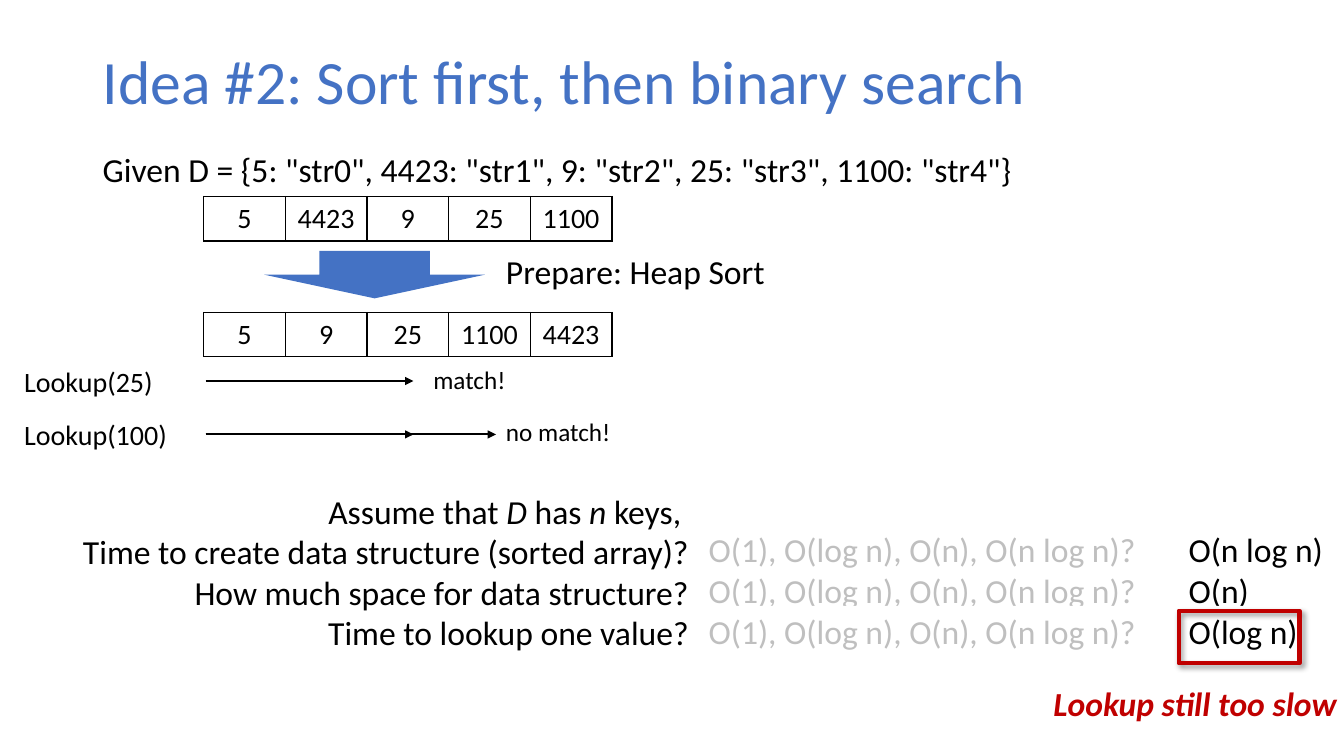
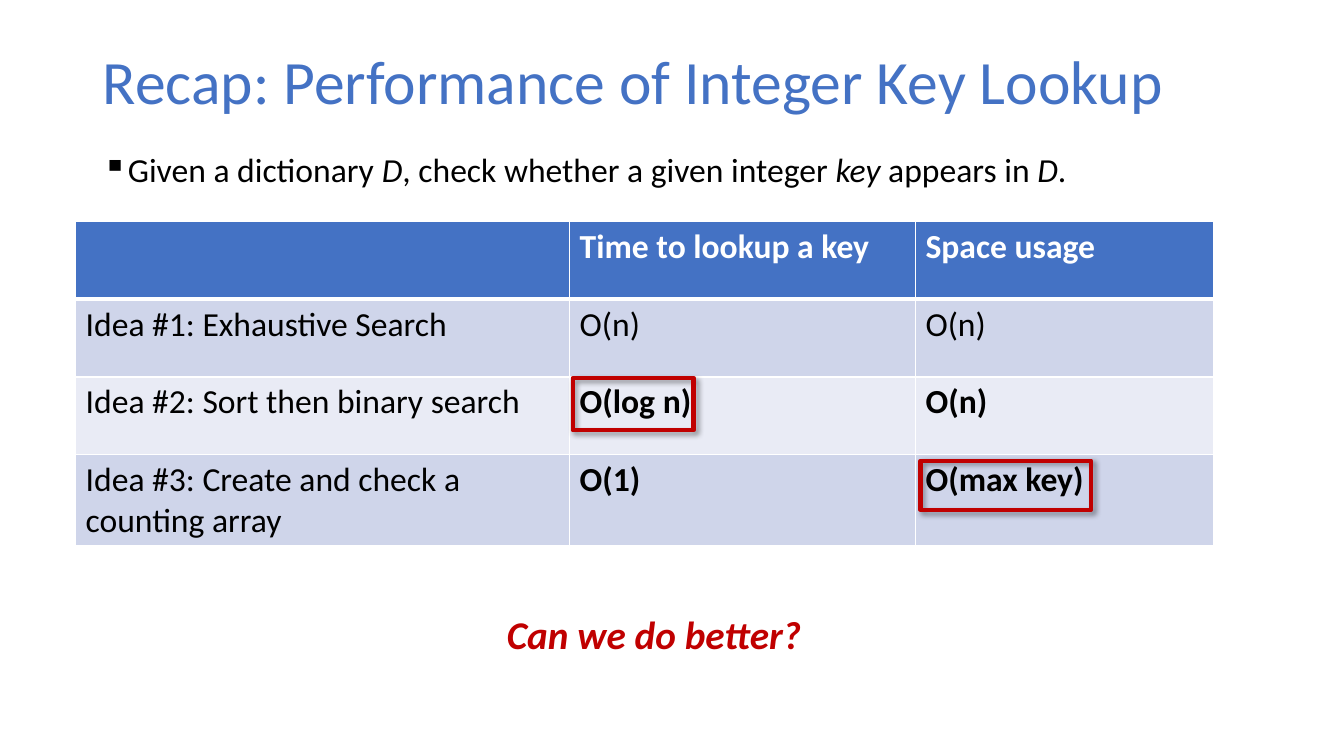
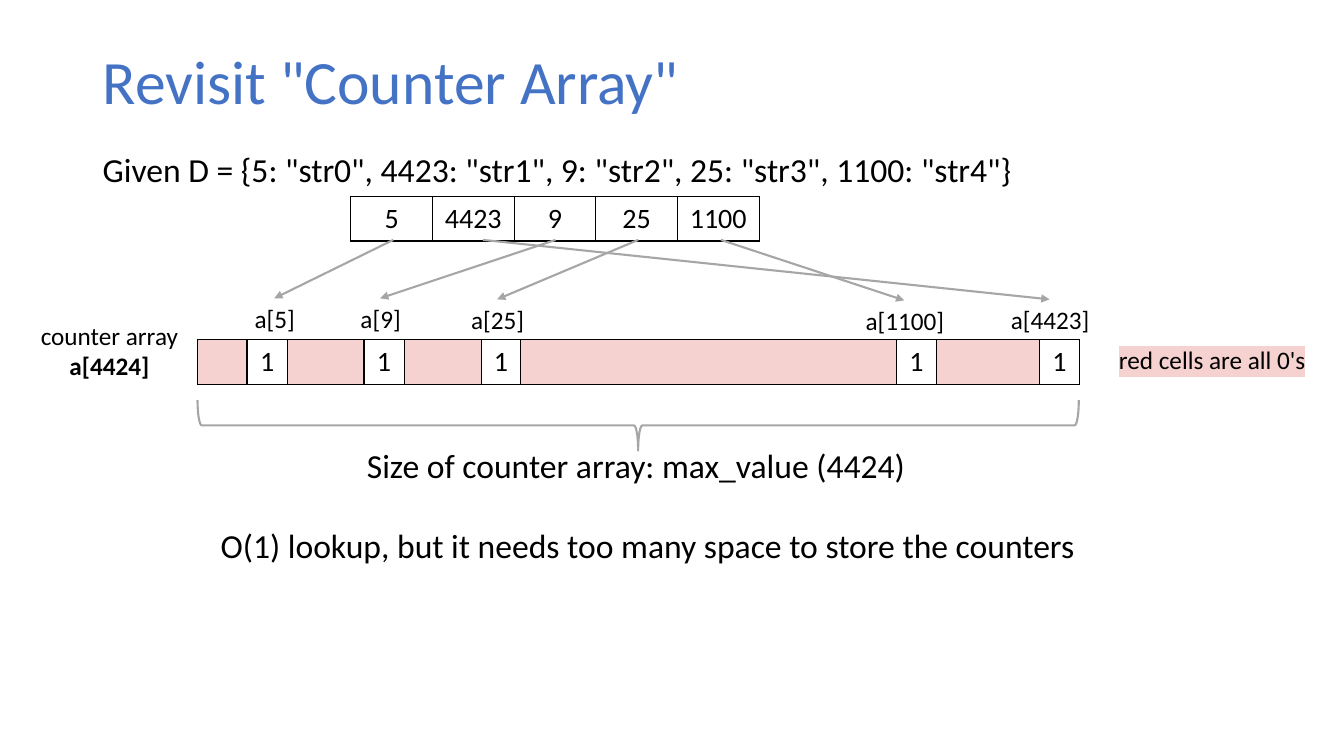
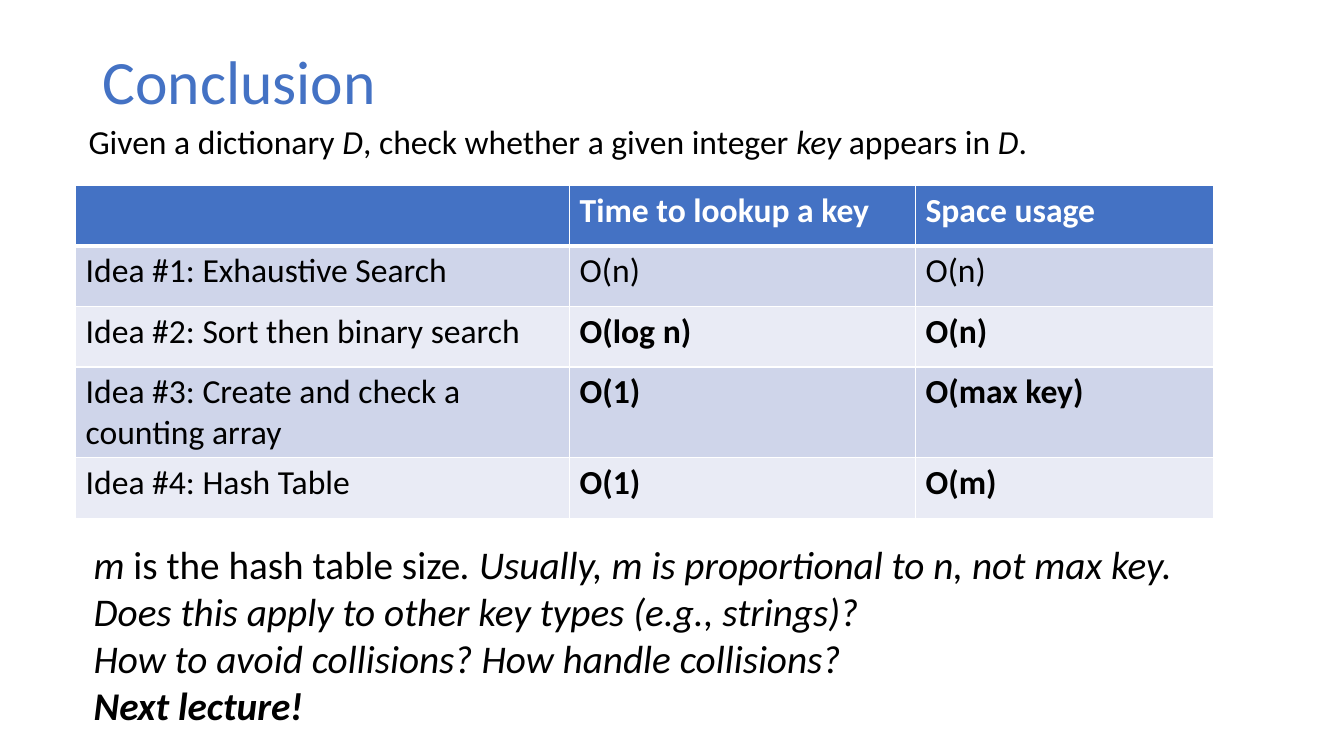
from dataclasses import dataclass

from pptx import Presentation
from pptx.dml.color import RGBColor
from pptx.enum.shapes import MSO_CONNECTOR, MSO_SHAPE
from pptx.enum.text import MSO_ANCHOR, MSO_AUTO_SIZE, PP_ALIGN
from pptx.oxml import parse_xml
from pptx.oxml.ns import nsdecls, qn
from pptx.util import Emu, Pt


@dataclass(frozen=True)
class Theme:
    font: str = "Calibri"
    black: str = "000000"
    white: str = "FFFFFF"
    accent: str = "4472C4"
    alert: str = "C00000"
    muted: str = "BFBFBF"
    line: str = "A6A6A6"
    zero: str = "F5D1CF"
    band_dark: str = "CFD5EA"
    band_light: str = "E9EBF5"
    title: int = 44
    large: int = 28
    body: int = 24
    cell: int = 20
    small: int = 18


@dataclass(frozen=True)
class Box:
    x: int
    y: int
    w: int
    h: int

    def at(self, dx, dy, w, h):
        return Box(self.x + dx, self.y + dy, w, h)

    def emu(self):
        return [px(v) for v in (self.x, self.y, self.w, self.h)]


T = Theme()
EMU_PER_PX = 9144
GIVEN = 'Given D = {5: "str0", 4423: "str1", 9: "str2", 25: "str3", 1100: "str4"}'
TASK = "Given a dictionary *D*, check whether a given integer *key* appears in *D*."
KEYS = ["5", "4423", "9", "25", "1100"]
GIVEN_BOX = Box(92, 147, 953, 54)
HEADER = ["", "Time to lookup a key", "Space usage"]
IDEAS = [
    ["Idea #1: Exhaustive Search", "O(n)", "O(n)"],
    ["Idea #2: Sort then binary search", "O(log n)", "O(n)"],
    ["Idea #3: Create and check a counting array", "O(1)", "O(max key)"],
    ["Idea #4: Hash Table", "O(1)", "O(m)"],
]


def px(n):
    return Emu(n * EMU_PER_PX)


def rgb(value):
    return RGBColor.from_string(value)


def xml(tag, attrs="", inner=""):
    return parse_xml(f"<a:{tag} {nsdecls('a')} {attrs}>{inner}</a:{tag}>")


def color_xml(color, inner=""):
    return f'<a:srgbClr val="{color}">{inner}</a:srgbClr>'


def write(tf, lines, size, color=T.black, bold=False, italic=False,
          align=None, spacing=None):
    tf.text = "\n".join(lines)
    for p, line in zip(tf.paragraphs, lines):
        p.alignment = align
        p.line_spacing = spacing
        p.text = ""
        for i, part in enumerate(line.split("*")):
            if part:
                r = p.add_run()
                r.text = part
                r.font.name = T.font
                r.font.size = Pt(size)
                r.font.bold = bold
                r.font.italic = italic or i % 2 == 1
                r.font.color.rgb = rgb(color)


def text(s, box, *lines, size=T.body, wrap=False, grow=True, fill=None, **style):
    sp = s.shapes.add_textbox(*box.emu())
    tf = sp.text_frame
    tf.word_wrap = wrap
    tf.auto_size = MSO_AUTO_SIZE.SHAPE_TO_FIT_TEXT if grow else MSO_AUTO_SIZE.NONE
    if fill:
        sp.fill.solid()
        sp.fill.fore_color.rgb = rgb(fill)
    write(tf, lines, size, **style)
    return tf


def block(s, box, *lines, **style):
    return text(s, box, *lines, wrap=True, grow=False, spacing=0.9, **style)


def title(s, label):
    tf = block(s, Box(92, 40, 1150, 87), label, size=T.title, color=T.accent)
    tf.vertical_anchor = MSO_ANCHOR.MIDDLE


def shape(s, kind, box, fill=None, line=None, width=1.5):
    sp = s.shapes.add_shape(kind, *box.emu())
    sp.shadow.inherit = False
    if fill:
        sp.fill.solid()
        sp.fill.fore_color.rgb = rgb(fill)
    else:
        sp.fill.background()
    if line:
        sp.line.color.rgb = rgb(line)
        sp.line.width = Pt(width)
    else:
        sp.line.fill.background()
    return sp


def alert_frame(s, box):
    sp = shape(s, MSO_SHAPE.RECTANGLE, box, line=T.alert, width=3)
    shadow = xml("outerShdw",
                 f'blurRad="{Pt(4)}" dist="{Pt(3)}" dir="2700000" algn="tl" rotWithShape="0"',
                 color_xml(T.black, '<a:alpha val="40000"/>'))
    sp.element.spPr.find(qn("a:effectLst")).append(shadow)


def arrow(s, x1, y1, x2, y2, color):
    sp = s.shapes.add_connector(MSO_CONNECTOR.STRAIGHT, px(x1), px(y1), px(x2), px(y2))
    sp.line.color.rgb = rgb(color)
    sp.line.width = Pt(1.5)
    spPr = sp.element.spPr
    spPr.find(qn("a:ln")).append(xml("tailEnd", 'type="triangle"'))
    spPr.append(xml("effectLst"))


def style_cell(cell, fill, border, thick=""):
    tcPr = cell._tc.get_or_add_tcPr()
    for side in "LRTB":
        width = Pt(3 if side in thick else 1)
        tcPr.append(xml(f"ln{side}", f'w="{width}"',
                        f"<a:solidFill>{color_xml(border)}</a:solidFill>"))
    if fill:
        cell.fill.solid()
        cell.fill.fore_color.rgb = rgb(fill)
    else:
        cell.fill.background()


def table(s, box, cols, heights):
    tbl = s.shapes.add_table(len(heights), len(cols), *box.emu()).table
    tbl.first_row = tbl.horz_banding = False
    for column, width in zip(tbl.columns, cols):
        column.width = px(width)
    for row, height in zip(tbl.rows, heights):
        row.height = px(height)
    return tbl


def cell_row(s, box, cols, values, fills):
    tbl = table(s, box, cols, [box.h])
    for cell, value, fill in zip(tbl.iter_cells(), values, fills):
        write(cell.text_frame, [value], T.cell, align=PP_ALIGN.CENTER)
        style_cell(cell, fill, T.black)


def key_row(s, box, keys):
    cell_row(s, box, [box.w // len(keys)] * len(keys), keys, [None] * len(keys))


def ideas_table(s, box, ideas, heights):
    tbl = table(s, box, [490, 343, 296], heights)
    for r, row in enumerate([HEADER] + ideas):
        fill = T.accent if r == 0 else T.band_dark if r % 2 else T.band_light
        for c, value in enumerate(row):
            cell = tbl.cell(r, c)
            write(cell.text_frame, [value], T.body, T.black if r else T.white,
                  bold=r == 0 or (r > 1 and c > 0))
            style_cell(cell, fill, T.white, {0: "B", 1: "T"}.get(r, ""))


def sorting(s, box):
    key_row(s, box.at(0, 0, 405, 41), KEYS)
    shape(s, MSO_SHAPE.DOWN_ARROW, box.at(60, 54, 219, 47), fill=T.accent)
    text(s, box.at(290, 49, 279, 50), "Prepare: Heap Sort")
    key_row(s, box.at(0, 115, 405, 41), sorted(KEYS, key=int))


def lookups(s, box):
    searches = [
        ("Lookup(25)", 149, [396], "match!", 406, 0, 93),
        ("Lookup(100)", 163, [396, 478], "no match!", 478, -1, 125),
    ]
    for i, (call, call_w, ends, result, result_x, shift, result_w) in enumerate(searches):
        y = i * 52
        text(s, box.at(0, y, call_w, 44), call, size=T.cell)
        for end in ends:
            line_y = box.y + 21 + i * 53
            arrow(s, box.x + 190, line_y, box.x + end, line_y, T.black)
        text(s, box.at(result_x, y + shift, result_w, 40), result, size=T.small)


def complexity(s, box):
    text(s, box.at(0, 0, 626, 172),
         "Assume that *D* has *n* keys, ",
         "Time to create data structure (sorted array)?",
         "How much space for data structure?",
         "Time to lookup one value?", align=PP_ALIGN.RIGHT)
    for dy, answer, w in [(78, "O(n)", 81), (119, "O(log n)", 129), (38, "O(n log n)", 154)]:
        text(s, box.at(626, dy, 447, 50), "O(1), O(log n), O(n), O(n log n)?",
             color=T.muted, fill=T.white)
        text(s, box.at(1102, dy, w, 50), answer, fill=T.white)
    alert_frame(s, box.at(1102, 124, 120, 52))
    text(s, box.at(968, 191, 304, 50), "Lookup still too slow",
         color=T.alert, bold=True, italic=True)


def counter_array(s, box):
    cols = [49, 40, 76, 40, 77, 38, 373, 40, 102, 40]
    pairs = len(cols) // 2
    cell_row(s, box.at(0, 0, sum(cols), 41), cols, ["", "1"] * pairs, [T.zero, None] * pairs)
    marks = [
        ("a[5]", 194, 46, 61, -41),
        ("a[4423]", 283, 796, 99, -40),
        ("a[9]", 355, 151, 61, -41),
        ("a[25]", 437, 261, 73, -40),
        ("a[1100]", 519, 652, 99, -39),
    ]
    for label, start, left, w, dy in marks:
        text(s, box.at(left, dy, w, 40), label, size=T.small, align=PP_ALIGN.CENTER)
        arrow(s, box.x + start, box.y - 99, box.x + left + w // 2, box.y + dy, T.line)
    tf = text(s, box.at(-167, -24, 159, 71), "counter array", "a[4424]",
              size=T.small, wrap=True, align=PP_ALIGN.CENTER)
    tf.paragraphs[1].runs[0].font.bold = True
    tf = text(s, box.at(904, 0, 207, 40), "red cells are all 0's", size=T.small)
    solid = tf.paragraphs[0].runs[0].font.fill
    solid.solid()
    solid.fore_color.rgb = rgb(T.black)
    rPr = tf.paragraphs[0].runs[0].font._element
    rPr.find(qn("a:solidFill")).addnext(xml("highlight", "", color_xml(T.zero)))
    size_brace(s, box.at(0, 60, 874, 50))


def size_brace(s, box):
    side = (box.w - box.h) // 2
    sp = shape(s, MSO_SHAPE.LEFT_BRACE, box.at(side, -side, box.h, box.w), line=T.line)
    sp.rotation = 270
    text(s, box.at(158, 39, 559, 50), "Size of counter array: max_value (4424)")


def sort_slide(s):
    title(s, "Idea #2: Sort first, then binary search")
    block(s, GIVEN_BOX, GIVEN)
    sorting(s, Box(202, 195, 569, 158))
    lookups(s, Box(14, 357, 603, 96))
    complexity(s, Box(67, 482, 1272, 241))


def recap_slide(s):
    title(s, "Recap: Performance of Integer Key Lookup")
    tf = block(s, Box(92, 147, 1150, 75), TASK)
    pPr = tf.paragraphs[0]._p.get_or_add_pPr()
    pPr.set("marL", str(px(25)))
    pPr.set("indent", str(px(-25)))
    pPr.append(xml("buChar", 'char="▪"'))
    text(s, Box(493, 601, 317, 57), "Can we do better?", size=T.large,
         color=T.alert, bold=True, italic=True)
    box = Box(75, 220, 1129, 321)
    ideas_table(s, box, IDEAS[:3], [77] * 4)
    alert_frame(s, box.at(493, 155, 120, 52))
    alert_frame(s, box.at(838, 237, 169, 49))


def counter_slide(s):
    title(s, 'Revisit "Counter Array"')
    block(s, GIVEN_BOX, GIVEN)
    key_row(s, Box(348, 195, 405, 41), KEYS)
    counter_array(s, Box(196, 337, 876, 43))
    text(s, Box(209, 516, 874, 50),
         "O(1) lookup, but it needs too many space to store the counters")


def conclusion_slide(s):
    title(s, "Conclusion")
    text(s, Box(78, 115, 960, 50), TASK)
    ideas_table(s, Box(75, 184, 1129, 330), IDEAS, [60, 60, 60, 85, 60])
    tf = text(s, Box(83, 531, 1129, 199),
              "*m* is the hash table size*. Usually, m is proportional to n, not max key.*",
              "*Does this apply to other key types (e.g., strings)?*",
              "*How to avoid collisions? How handle collisions?*",
              "*Next lecture!*", size=T.large, wrap=True)
    tf.paragraphs[-1].runs[0].font.bold = True


def main():
    prs = Presentation()
    prs.slide_width, prs.slide_height = px(1333), px(750)
    for build in (sort_slide, recap_slide, counter_slide, conclusion_slide):
        build(prs.slides.add_slide(prs.slide_layouts[6]))
    prs.save("out.pptx")


if __name__ == "__main__":
    main()
